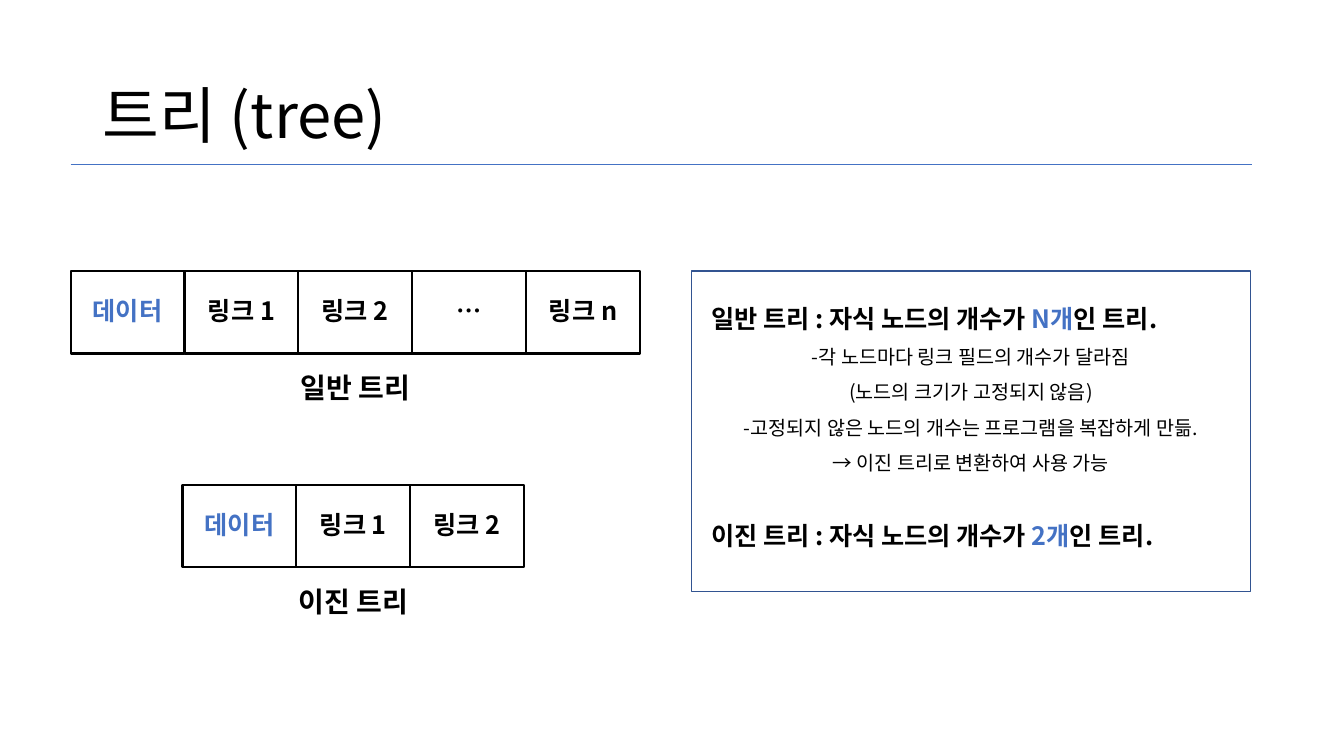
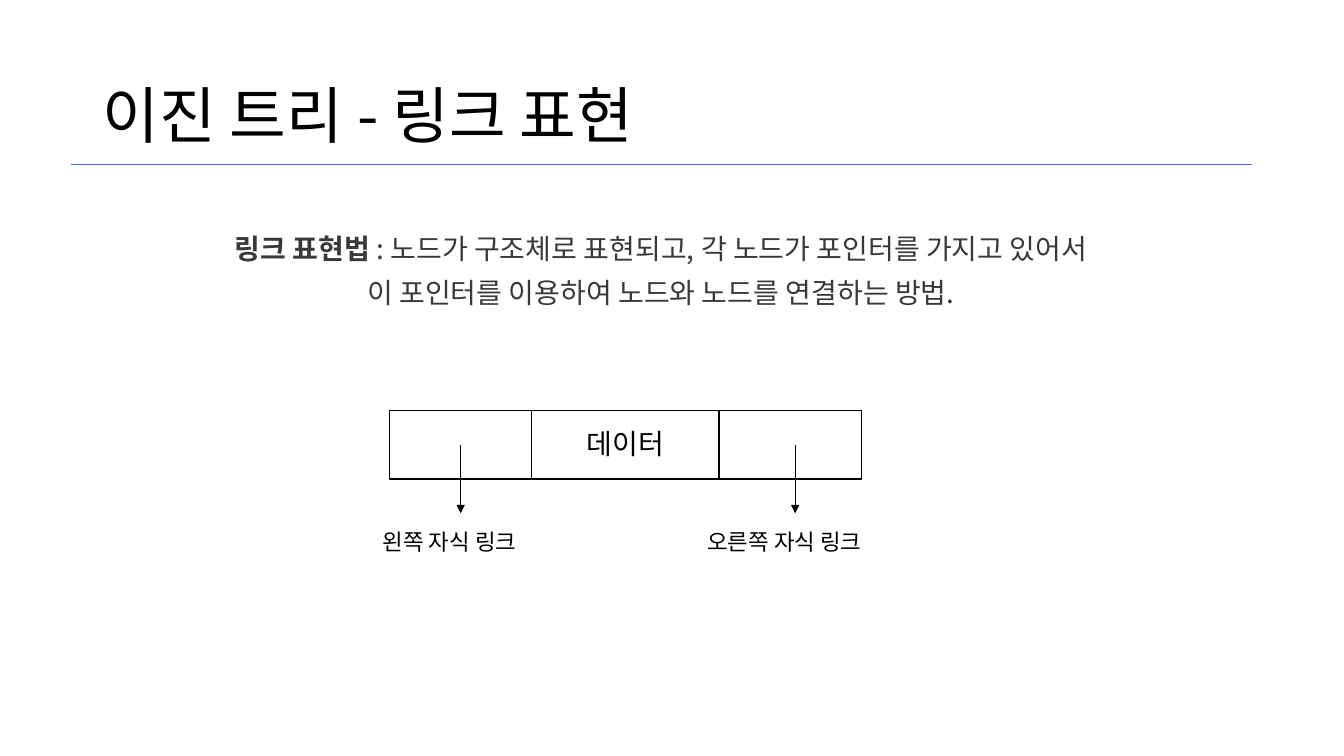
"""Build two slides on trees and the linked form of binary trees."""
import lxml.etree
import pptx
import pptx.dml.color
import pptx.enum.shapes
import pptx.enum.text
import pptx.oxml.ns
import pptx.util

Cm = pptx.util.Cm
Pt = pptx.util.Pt
RGBColor = pptx.dml.color.RGBColor
ALIGN = pptx.enum.text.PP_ALIGN
ANCHOR = pptx.enum.text.MSO_ANCHOR
qn = pptx.oxml.ns.qn

FONT = "Noto Sans CJK KR"
BLACK = RGBColor(0x00, 0x00, 0x00)
BLUE = RGBColor(0x44, 0x72, 0xC4)
NAVY = RGBColor(0x32, 0x54, 0x91)
GRAY = RGBColor(0x3B, 0x38, 0x38)

LINE_PITCH = 1.08
PARA_GAP = 10
SECTION_GAP = 35
RULE_LEFT, RULE_RIGHT, RULE_TOP = 1.78, 31.54, 4.14

NODE_WIDTH, NODE_HEIGHT = 2.87, 2.08
CAPTION_WIDTH, CAPTION_GAP = 4.9, 0.39
NODE_ROWS = [
    ("일반 트리", 1.78, 6.83, ["데이터", "링크 1", "링크 2", "…", "링크 n"]),
    ("이진 트리", 4.6, 12.22, ["데이터", "링크 1", "링크 2"]),
]

PANEL = (17.42, 6.83, 14.1, 8.08)
DEFINITIONS = [
    ("일반 트리 : 자식 노드의 개수가 ", "N개", "인 트리.", [
        "-각 노드마다 링크 필드의 개수가 달라짐",
        "(노드의 크기가 고정되지 않음)",
        "-고정되지 않은 노드의 개수는 프로그램을 복잡하게 만듦.",
        "→ 이진 트리로 변환하여 사용 가능",
    ]),
    ("이진 트리 : 자식 노드의 개수가 ", "2개", "인 트리.", []),
]

LINK_INTRO = [
    [("링크 표현법 ", True),
     (": 노드가 구조체로 표현되고, 각 노드가 포인터를 가지고 있어서", False)],
    [("이 포인터를 이용하여 노드와 노드를 연결하는 방법.", False)],
]
LINK_LEFT, LINK_TOP, LINK_HEIGHT = 9.81, 10.34, 1.73
LINK_CELLS = [("", 3.59), ("데이터", 4.72), ("", 3.59)]
LINK_ARROWS = [
    ("왼쪽 자식 링크", 11.61, 9.4, 4.45),
    ("오른쪽 자식 링크", 20.04, 17.58, 4.93),
]


def add_para(frame, spans, size, align=ALIGN.CENTER, gap=PARA_GAP):
    """Add one paragraph from (text, colour, bold) spans."""
    para = frame.paragraphs[0]
    if para.runs:
        para = frame.add_paragraph()
        para.space_before = Pt(gap)
    para.alignment = align
    para.line_spacing = Pt(round(size * LINE_PITCH, 1))
    for text, color, bold in spans:
        span = para.add_run()
        span.text = text
        span.font.name = FONT
        span.font.size = Pt(size)
        span.font.bold = bold
        span.font.color.rgb = color
        props = span._r.get_or_add_rPr()
        lxml.etree.SubElement(props, qn("a:ea"), typeface=FONT)


def add_frame(page, left, top, width, height, anchor=ANCHOR.TOP):
    """Add a wrapping text box and return its text frame."""
    box = page.shapes.add_textbox(Cm(left), Cm(top), Cm(width), Cm(height))
    box.text_frame.word_wrap = True
    box.text_frame.vertical_anchor = anchor
    return box.text_frame


def add_rect(page, left, top, width, height, color, weight):
    """Add an unfilled outlined rectangle and return its text frame."""
    box = page.shapes.add_shape(
        pptx.enum.shapes.MSO_SHAPE.RECTANGLE,
        Cm(left), Cm(top), Cm(width), Cm(height))
    box.shadow.inherit = False
    box.fill.background()
    box.line.color.rgb = color
    box.line.width = Pt(weight)
    box.text_frame.word_wrap = True
    box.text_frame.vertical_anchor = ANCHOR.MIDDLE
    return box.text_frame


def add_line(page, start, end, color, arrow=False):
    """Add a thin straight line, with an arrowhead at its end if asked."""
    line = page.shapes.add_connector(
        pptx.enum.shapes.MSO_CONNECTOR.STRAIGHT,
        *(Cm(value) for value in start + end))
    line.line.color.rgb = color
    line.line.width = Pt(0.5)
    if arrow:
        lxml.etree.SubElement(
            line.line._get_or_add_ln(), qn("a:tailEnd"), type="triangle")
    lxml.etree.SubElement(line._element.spPr, qn("a:effectLst"))


def add_page(deck, title):
    """Add a blank page with the shared title and rule."""
    page = deck.slides.add_slide(deck.slide_layouts[6])
    frame = add_frame(page, 2.34, 1.12, 29.2, 3.68, ANCHOR.MIDDLE)
    add_para(frame, [(title, BLACK, False)], 44, ALIGN.LEFT)
    add_line(page, (RULE_LEFT, RULE_TOP), (RULE_RIGHT, RULE_TOP), BLUE)
    return page


def add_node_row(page, caption, left, top, fields):
    """Add a row of node fields with a caption centred below."""
    for index, field in enumerate(fields):
        frame = add_rect(page, left + index * NODE_WIDTH, top,
                         NODE_WIDTH, NODE_HEIGHT, BLACK, 1.5)
        add_para(frame, [(field, BLACK if index else BLUE, True)], 18)
    middle = left + len(fields) * NODE_WIDTH / 2
    frame = add_frame(page, middle - CAPTION_WIDTH / 2,
                      top + NODE_HEIGHT + CAPTION_GAP, CAPTION_WIDTH, 1.27)
    add_para(frame, [(caption, BLACK, True)], 20)


def build_tree_page(deck):
    """Build the page comparing general and binary trees."""
    page = add_page(deck, "트리 (tree)")
    for row in NODE_ROWS:
        add_node_row(page, *row)
    frame = add_rect(page, *PANEL, NAVY, 1)
    frame.vertical_anchor = ANCHOR.TOP
    frame.margin_top = Cm(0.89)
    frame.margin_left = frame.margin_right = Cm(0.5)
    for before, count, after, details in DEFINITIONS:
        add_para(frame, [(before, BLACK, True), (count, BLUE, True),
                         (after, BLACK, True)], 18, ALIGN.JUSTIFY, SECTION_GAP)
        for detail in details:
            add_para(frame, [(detail, BLACK, False)], 14)


def build_link_page(deck):
    """Build the page on the linked form of a binary tree."""
    page = add_page(deck, "이진 트리 - 링크 표현")
    frame = add_frame(page, RULE_LEFT, 5.79, RULE_RIGHT - RULE_LEFT, 2.24)
    for spans in LINK_INTRO:
        add_para(frame, [(text, GRAY, bold) for text, bold in spans], 20)
    left = LINK_LEFT
    for text, width in LINK_CELLS:
        frame = add_rect(page, left, LINK_TOP, width, LINK_HEIGHT, BLACK, 1)
        if text:
            add_para(frame, [(text, BLACK, False)], 20)
        left += width
    start = LINK_TOP + LINK_HEIGHT / 2
    for label, x, label_left, label_width in LINK_ARROWS:
        add_line(page, (x, start), (x, start + LINK_HEIGHT), BLACK, True)
        frame = add_frame(page, label_left, 13.2, label_width, 0.94,
                          ANCHOR.MIDDLE)
        add_para(frame, [(label, BLACK, False)], 16, ALIGN.LEFT)


def main():
    """Build and save the deck."""
    deck = pptx.Presentation()
    deck.slide_width = Cm(33.87)
    deck.slide_height = Cm(19.05)
    build_tree_page(deck)
    build_link_page(deck)
    deck.save("out.pptx")


if __name__ == "__main__":
    main()
